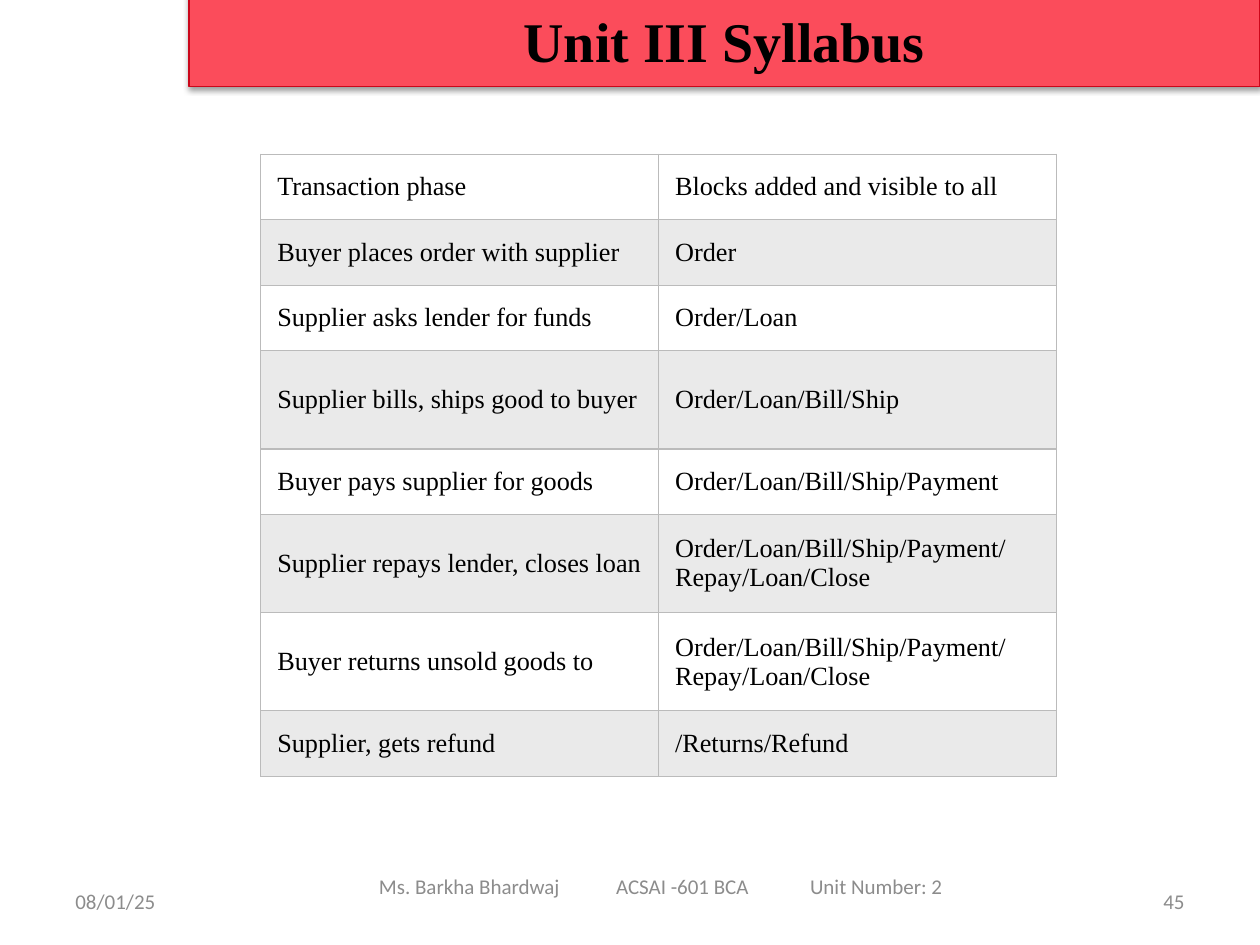
from lxml import etree
from pptx import Presentation
from pptx import util as u
from pptx.dml import color
from pptx.enum import shapes, text
from pptx.oxml import ns, parse_xml

Cm, Pt = u.Cm, u.Pt
LEFT, CENTER, RIGHT = text.PP_ALIGN.LEFT, text.PP_ALIGN.CENTER, text.PP_ALIGN.RIGHT
MIDDLE = text.MSO_ANCHOR.MIDDLE
A = ns.nsdecls("a")


def rgb(value):
    return color.RGBColor.from_string(value)


def write(frame, wording, align, hue, **font_format):
    paragraph = frame.paragraphs[0]
    paragraph.alignment = align
    run = paragraph.add_run()
    run.text = wording
    for name, value in font_format.items():
        setattr(run.font, name, value)
    run.font.color.rgb = rgb(hue)


deck = Presentation()
deck.slide_width, deck.slide_height = Cm(25.4), Cm(19.05)
slide = deck.slides.add_slide(deck.slide_layouts[6])

# Transaction table
phases = [
    ("Transaction phase", "Blocks added and visible to all"),
    ("Buyer places order with supplier", "Order"),
    ("Supplier asks lender for funds", "Order/Loan"),
    ("Supplier bills, ships good to buyer", "Order/Loan/Bill/Ship"),
    ("Buyer pays supplier for goods", "Order/Loan/Bill/Ship/Payment"),
    ("Supplier repays lender, closes loan", "Order/Loan/Bill/Ship/Payment/Repay/Loan/Close"),
    ("Buyer returns unsold goods to", "Order/Loan/Bill/Ship/Payment/Repay/Loan/Close"),
    ("Supplier, gets refund", "/Returns/Refund"),
]
tall_rows = {3, 5, 6}
cell_format = {"vertical_anchor": MIDDLE}
for side in ("left", "right", "top", "bottom"):
    cell_format["margin_" + side] = Cm(0.33)

ledger = slide.shapes.add_table(
    len(phases), 2, Cm(5.26), Cm(3.11), Cm(16.04), Cm(12.54)).table
ledger.first_row = ledger.horz_banding = False
for column in ledger.columns:
    column.width = Cm(8.02)

for r, phase in enumerate(phases):
    ledger.rows[r].height = Cm(1.98 if r in tall_rows else 1.32)
    for c, wording in enumerate(phase):
        cell = ledger.cell(r, c)
        for name, value in cell_format.items():
            setattr(cell, name, value)
        borders = cell._tc.get_or_add_tcPr()
        for edge in ("lnL", "lnR", "lnT", "lnB"):
            borders.append(parse_xml(
                f'<a:{edge} {A} w="{Pt(0.75)}"><a:solidFill>'
                f'<a:srgbClr val="BBBBBB"/></a:solidFill></a:{edge}>'))
        cell.fill.solid()
        cell.fill.fore_color.rgb = rgb("EAEAEA" if r % 2 else "FFFFFF")
        write(cell.text_frame, wording, LEFT, "000000",
              name="Times New Roman", size=Pt(15))

# Footer: date, course line with tab stops, slide number
course = "Ms. Barkha Bhardwaj\tACSAI -601 BCA\tUnit Number: 2"
footer = [
    ("08/01/25", 1.27, 17.65, 5.92, LEFT, 0.25, []),
    (course, 6.35, 17.35, 13.97, LEFT, 1.29, [4.78, 8.69]),
    ("45", 18.21, 17.65, 5.92, RIGHT, 0.25, []),
]
for wording, left, top, width, align, inset, stops in footer:
    frame = slide.shapes.add_textbox(Cm(left), Cm(top), Cm(width), Cm(1.02)).text_frame
    frame_format = {"word_wrap": True, "vertical_anchor": MIDDLE, "margin_left": Cm(inset)}
    for name, value in frame_format.items():
        setattr(frame, name, value)
    if stops:
        tabs = etree.SubElement(frame.paragraphs[0]._p.get_or_add_pPr(), ns.qn("a:tabLst"))
        for stop in stops:
            etree.SubElement(tabs, ns.qn("a:tab"), pos=str(Cm(stop)), algn="l")
    write(frame, wording, align, "8C8C8C", name="Calibri", size=Pt(12))

# Title banner with a soft shadow below
banner = slide.shapes.add_shape(
    shapes.MSO_SHAPE.RECTANGLE, Cm(3.81), Cm(-0.15), Cm(21.59), Cm(1.9))
banner.fill.solid()
banner.fill.fore_color.rgb = rgb("FB4C5B")
banner.line.color.rgb = rgb("CB071A")
banner.line.width = Pt(0.75)
banner.shadow.inherit = False
banner._element.spPr.find(ns.qn("a:effectLst")).append(parse_xml(
    f'<a:outerShdw {A} blurRad="{Pt(3.1)}" dist="{Pt(1.6)}" dir="5400000" rotWithShape="0">'
    '<a:srgbClr val="000000"><a:alpha val="38000"/></a:srgbClr></a:outerShdw>'))
banner.text_frame.vertical_anchor = MIDDLE
write(banner.text_frame, "Unit III Syllabus", CENTER, "000000",
      name="Times New Roman", size=Pt(32), bold=True)

deck.save("out.pptx")
